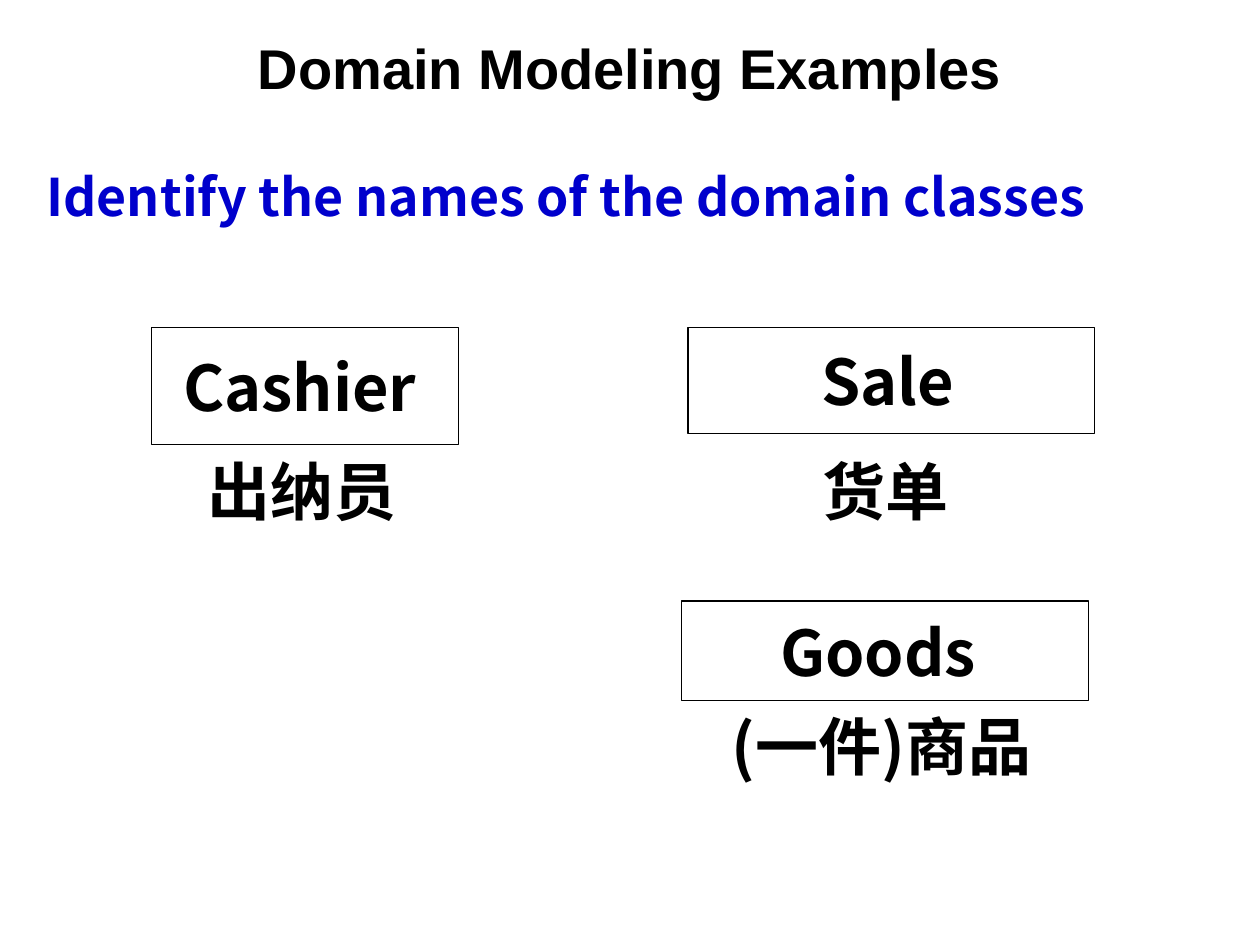
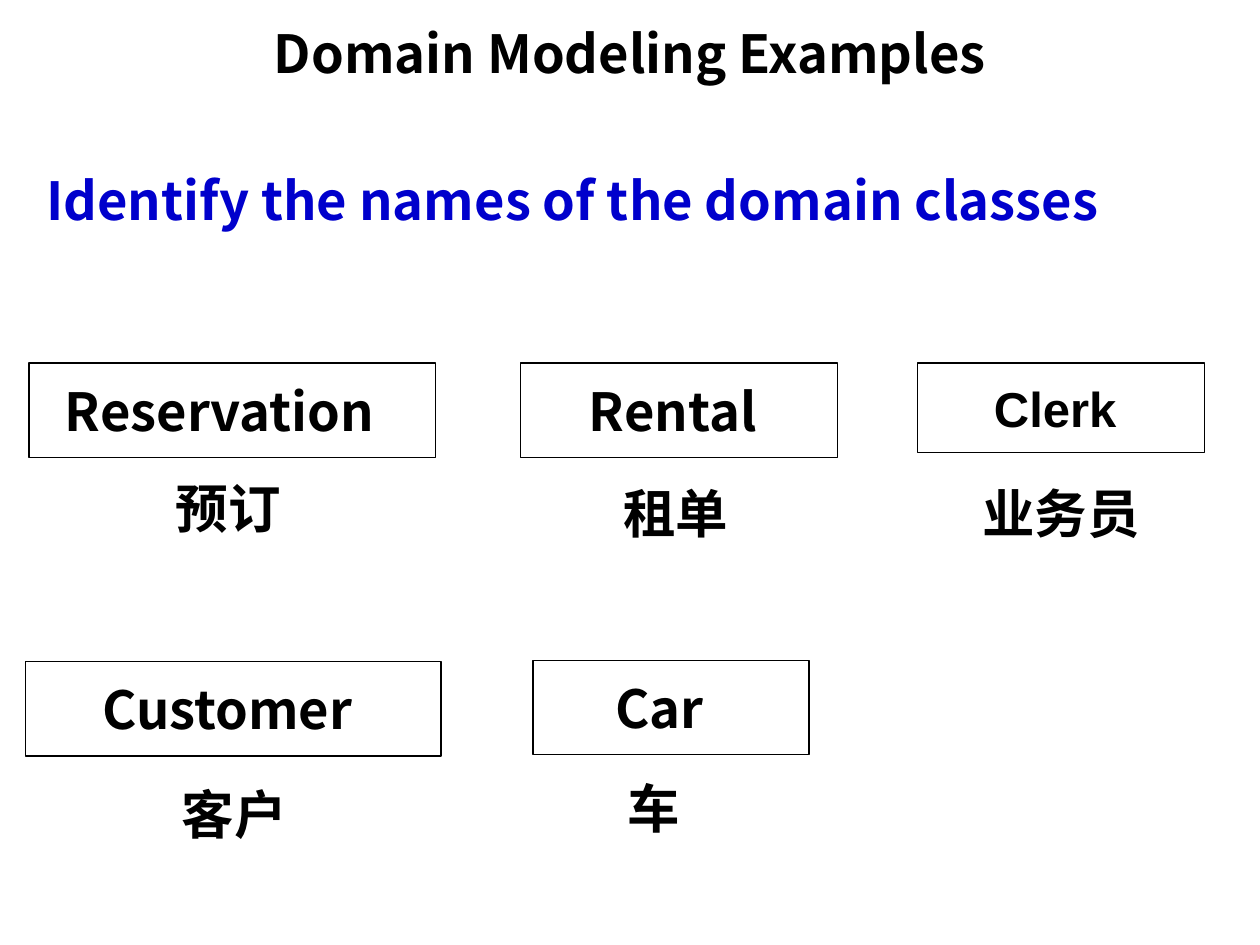
from lxml import etree
from pptx import Presentation
from pptx import util as u
from pptx.dml.color import RGBColor
from pptx.enum import shapes, text
from pptx.oxml import ns

PX = 9144
COLOURS = {"ink": "000000", "accent": "0000CC"}
SANS = "Arial"
CJK = "Noto Sans CJK SC"
TITLE = "Domain Modeling Examples"
PROMPT = "Identify the names of the domain classes"
PROMPT_AT = (27, 123, 929, 71)

PAGES = [
    {
        "title": {"at": (50, 30, 900, 46), "size": 32, "name": SANS},
        "prompt": {"size": 29.6, "spacing": 0.9},
        "size": 36,
        "classes": [
            {"label": "Cashier", "at": (120, 260, 244, 93), "nudge": 8,
             "caption": "出纳员", "caption_at": (114, 354, 252, 70)},
            {"label": "Sale", "at": (546, 260, 323, 84), "nudge": 6,
             "caption": "货单", "caption_at": (577, 354, 252, 70)},
            {"label": "Goods", "at": (541, 477, 323, 79), "nudge": 11,
             "caption": "(一件)商品", "caption_at": (538, 557, 323, 70)},
        ],
    },
    {
        "title": {"at": (50, 19, 900, 46), "size": 30, "name": CJK},
        "prompt": {"size": 30},
        "size": 30,
        "classes": [
            {"label": "Reservation", "at": (23, 288, 323, 75), "nudge": 20,
             "caption": "预订", "caption_at": (110, 373, 142, 60)},
            {"label": "Rental", "at": (413, 288, 252, 75), "nudge": 10,
             "caption": "租单", "caption_at": (477, 377, 119, 60)},
            {"label": "Customer", "at": (20, 525, 330, 75), "nudge": 9,
             "caption": "客户", "caption_at": (115, 616, 142, 60)},
            {"label": "Car", "at": (423, 524, 219, 75), "nudge": 18,
             "caption": "车", "caption_at": (461, 611, 116, 60)},
            {"label": "Clerk", "at": (728, 288, 228, 71), "nudge": 9,
             "font": {"size": 28, "name": SANS},
             "caption": "业务员", "caption_at": (728, 377, 228, 60)},
        ],
    },
]


def emu(lengths):
    return [length * PX for length in lengths]


def write(box, words, size, name=CJK, colour="ink", align=text.PP_ALIGN.CENTER,
          anchor=text.MSO_ANCHOR.MIDDLE, insets=(10, 5, 10, 5), spacing=1.0):
    frame = box.text_frame
    frame.word_wrap = True
    frame.auto_size = text.MSO_AUTO_SIZE.NONE
    frame.vertical_anchor = anchor
    (frame.margin_left, frame.margin_top,
     frame.margin_right, frame.margin_bottom) = emu(insets)
    para = frame.paragraphs[0]
    para.alignment = align
    para.line_spacing = spacing
    span = para.add_run()
    span.text = words
    span.font.size = u.Pt(size)
    span.font.bold = True
    span.font.color.rgb = RGBColor.from_string(COLOURS[colour])
    span.font.name = name
    etree.SubElement(span.font._element, ns.qn("a:ea"), typeface=name)


def add_class(page, item, size):
    group = page.shapes.add_group_shape()
    box = group.shapes.add_shape(shapes.MSO_SHAPE.RECTANGLE, *emu(item["at"]))
    box.shadow.inherit = False
    box.fill.background()
    box.line.color.rgb = RGBColor.from_string(COLOURS["ink"])
    box.line.width = u.Pt(0.75)
    font = item.get("font", {"size": size})
    write(box, item["label"], insets=(10, 5, 10 + item["nudge"], 5), **font)
    caption = group.shapes.add_textbox(*emu(item["caption_at"]))
    write(caption, item["caption"], size, anchor=text.MSO_ANCHOR.TOP)


def add_page(deck, content):
    page = deck.slides.add_slide(deck.slide_layouts.get_by_name("Title Only"))
    heading = dict(content["title"])
    title = page.shapes.title
    title.left, title.top, title.width, title.height = emu(heading.pop("at"))
    write(title, TITLE, insets=(0, 0, 0, 0), **heading)
    prompt = page.shapes.add_textbox(*emu(PROMPT_AT))
    write(prompt, PROMPT, colour="accent", align=text.PP_ALIGN.LEFT,
          **content["prompt"])
    for item in content["classes"]:
        add_class(page, item, content["size"])


def main():
    deck = Presentation()
    deck.slide_width, deck.slide_height = emu((1000, 750))
    for content in PAGES:
        add_page(deck, content)
    deck.save("out.pptx")


if __name__ == "__main__":
    main()
